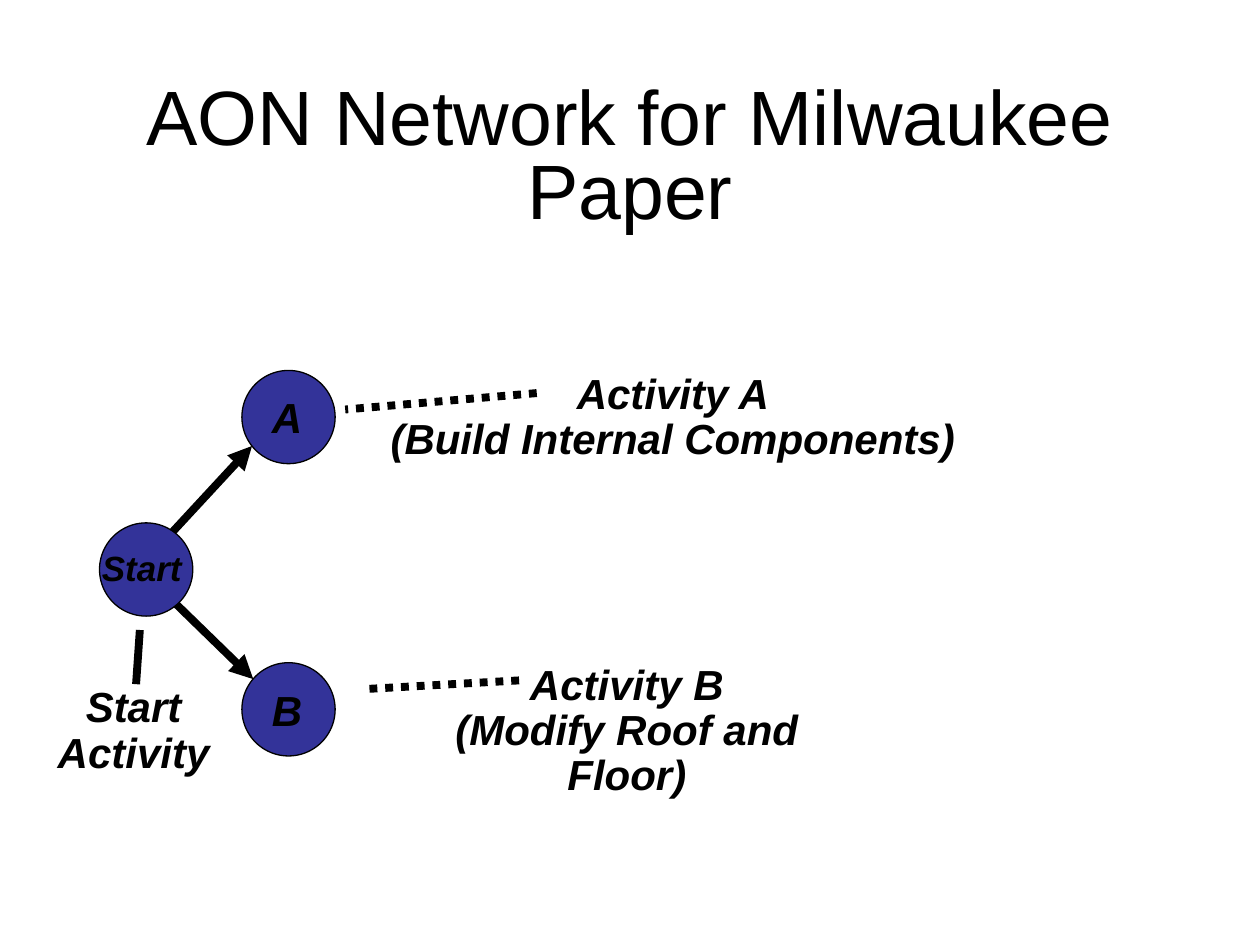
"""Build the activity-on-node network slide."""
from typing import NamedTuple

from pptx import Presentation
from pptx import util as u
from pptx.dml.color import RGBColor
from pptx.enum import dml, shapes, text
from pptx.oxml import parse_xml
from pptx.oxml.ns import nsdecls, qn

HUES = {"ink": "000000", "node": "333399", "paper": "FFFFFF"}
SIZE = 0.74


class Node(NamedTuple):
    left: float
    top: float
    label: str
    box: tuple
    pts: int = 24
    wrap: bool = False


class Line(NamedTuple):
    start: tuple
    end: tuple
    arrow: bool = False
    dots: bool = False


class Note(NamedTuple):
    words: str
    box: tuple
    line: Line
    wrap: bool = True


NODES = [
    Node(1.92, 2.94, "A", (2.06, 3.06, 0.44, 0.5)),
    Node(0.79, 4.15, "Start", (0.71, 4.29, 1.04, 0.44), 20, True),
    Node(1.92, 5.26, "B", (2.06, 5.38, 0.44, 0.5)),
]
ARROWS = [
    Line((1.27, 4.67), (2.01, 5.39), arrow=True),
    Line((1.26, 4.34), (2, 3.54), arrow=True),
]
NOTES = [
    Note("Start Activity", (0.25, 5.4, 1.62, 0.82), Line((1.08, 5.43), (1.11, 5))),
    Note("Activity A\n(Build Internal Components)", (3, 2.91, 4.68, 0.82),
         Line((4.26, 3.12), (2.74, 3.25), dots=True), False),
    Note("Activity B\n(Modify Roof and Floor)", (3, 5.22, 3.95, 0.82),
         Line((4.12, 5.4), (2.88, 5.47), dots=True)),
]


def hue(name: str) -> RGBColor:
    """Return a named colour."""
    return RGBColor.from_string(HUES[name])


def write(frame, words: str, *, pts: int = 24, bold: bool = True,
          mid: bool = False, gap: float = 1.0, wrap: bool = True) -> None:
    """Fill a text frame and format its paragraphs."""
    frame.text = words
    frame.word_wrap = wrap
    for para in frame.paragraphs:
        para.alignment = text.PP_ALIGN.CENTER if mid else text.PP_ALIGN.LEFT
        para.line_spacing = gap
        for run in para.runs:
            font = run.font
            font.name, font.size = "Arial", u.Pt(pts)
            font.bold = font.italic = bold
            font.color.rgb = hue("ink")


def add_text(group, box: tuple, words: str, **look) -> None:
    """Add a text box that grows with its text."""
    frame = group.shapes.add_textbox(*map(u.Inches, box)).text_frame
    write(frame, words, **look)
    frame.auto_size = text.MSO_AUTO_SIZE.SHAPE_TO_FIT_TEXT


def add_line(group, line: Line) -> None:
    """Add a heavy line, dotted or arrowed on request."""
    ends = map(u.Inches, line.start + line.end)
    link = group.shapes.add_connector(shapes.MSO_CONNECTOR.STRAIGHT, *ends)
    link.line.color.rgb = hue("ink")
    link.line.width = u.Pt(4.5)
    if line.dots:
        link.line.dash_style = dml.MSO_LINE.ROUND_DOT
    if line.arrow:
        stroke = link.line._get_or_add_ln()
        stroke.append(parse_xml(f'<a:tailEnd {nsdecls("a")} type="triangle"/>'))
    props = link._element.find(qn("p:spPr"))
    props.append(parse_xml(f'<a:effectLst {nsdecls("a")}/>'))


def add_node(group, node: Node) -> None:
    """Add a round node and its label."""
    place = map(u.Inches, (node.left, node.top, SIZE, SIZE))
    disc = group.shapes.add_shape(shapes.MSO_SHAPE.OVAL, *place)
    disc.shadow.inherit = False
    disc.fill.solid()
    disc.fill.fore_color.rgb = hue("node")
    disc.line.color.rgb = hue("ink")
    disc.line.width = u.Pt(0.75)
    add_text(group, node.box, node.label, pts=node.pts, wrap=node.wrap)


def main() -> None:
    """Draw the slide and save it."""
    deck = Presentation()
    deck.slide_width, deck.slide_height = u.Inches(10), u.Inches(7.5)
    slide = deck.slides.add_slide(deck.slide_layouts[5])
    slide.background.fill.solid()
    slide.background.fill.fore_color.rgb = hue("paper")

    title = slide.shapes.title
    title.left, title.top, title.width, title.height = map(
        u.Inches, (1.03, 0.5, 7.94, 1.54))
    write(title.text_frame, "AON Network for Milwaukee Paper",
          pts=44, bold=False, mid=True, gap=0.8)
    title.text_frame.vertical_anchor = text.MSO_ANCHOR.MIDDLE

    graph = slide.shapes.add_group_shape()
    for line in ARROWS:
        add_line(graph, line)
    for node in NODES:
        add_node(graph, node)
    for note in NOTES:
        group = slide.shapes.add_group_shape()
        add_text(group, note.box, note.words, mid=True, gap=0.9, wrap=note.wrap)
        add_line(group, note.line)
    deck.save("out.pptx")


if __name__ == "__main__":
    main()
